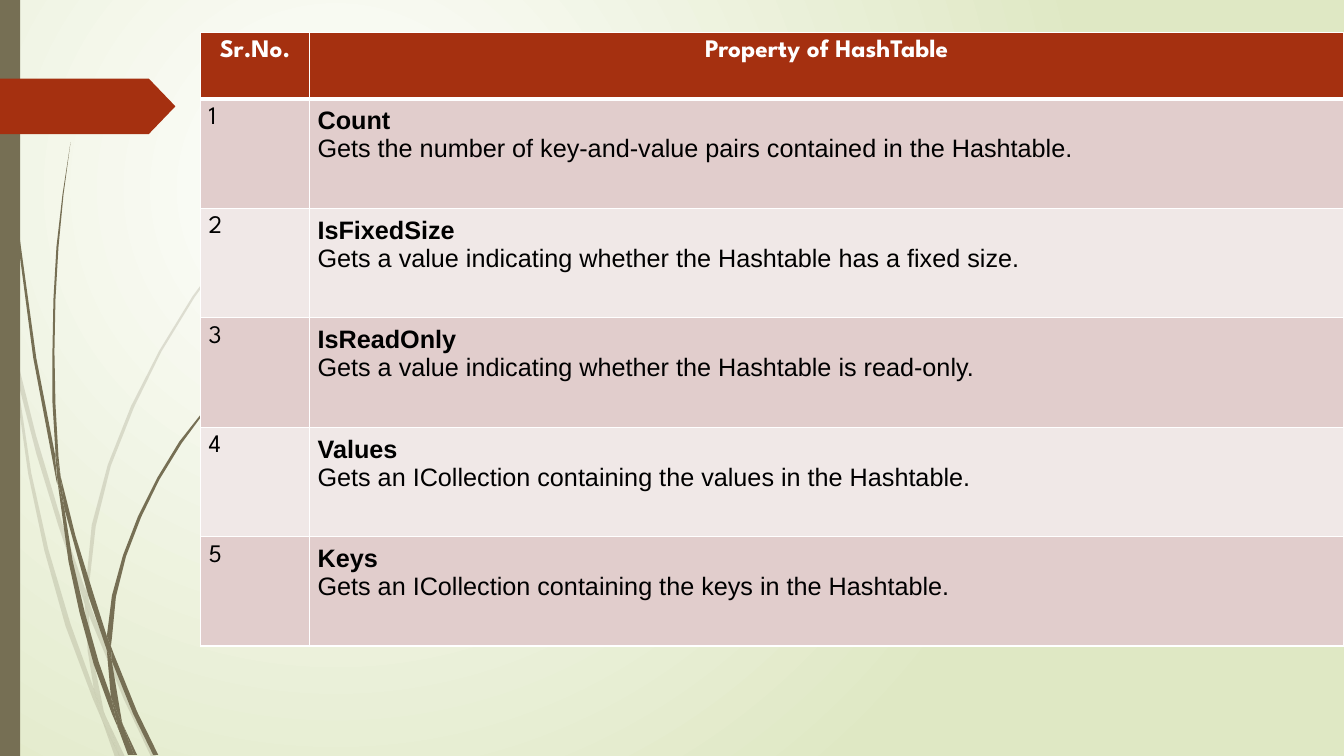
from lxml import etree
from pptx import Presentation
from pptx.dml.color import RGBColor
from pptx.enum.shapes import MSO_SHAPE
from pptx.enum.text import PP_ALIGN
from pptx.oxml.ns import qn
from pptx.util import Inches, Pt

CENTER, LEFT, JUSTIFY = PP_ALIGN.CENTER, PP_ALIGN.LEFT, PP_ALIGN.JUSTIFY
RECT, PENTAGON = MSO_SHAPE.RECTANGLE, MSO_SHAPE.PENTAGON
OLIVE, RUST, WHITE, BLACK = "766F54", "A53010", "FFFFFF", "000000"
ROW_FILLS = ["E1CDCC", "F0E8E7"]
MARGIN = Inches(0.08)
HEADER_HEIGHT, TABLE_HEIGHT = 0.66, 6.09

# Outlines of the blades of grass, in inches
PALE_GRASS = [
    [(0.11, 3.5), (0.09, 3.22), (0, 2.82), (0, 2.99), (0.1, 3.44)],
    [(0.58, 5.22), (0.84, 5.99), (0.85, 5.86), (0.62, 5.2), (0.36, 4.33),
     (0.14, 3.45), (0.17, 3.76), (0.36, 4.5)],
    [(0.92, 6.07), (0.88, 5.96), (0.88, 6.1), (1.23, 6.94), (1.5, 7.51),
     (1.55, 7.51), (1.27, 6.92)],
    [(1.19, 7.51), (1.24, 7.51), (1.05, 7.11)],
    [(0.93, 6.83), (0.7, 6.19), (0.48, 5.45), (0.31, 4.69), (0.17, 3.76),
     (0.11, 3.5), (0.28, 4.7), (0.44, 5.46), (0.65, 6.21), (0.92, 6.93),
     (1.01, 7.14), (0.99, 7.07)],
    [(0.84, 5.99), (0.87, 6.46), (0.93, 6.83), (0.96, 6.92), (1.05, 7.11),
     (1.03, 7.06), (0.91, 6.46), (0.88, 6.1), (0.88, 6.08)],
    [(0.88, 5.84), (0.95, 5.22), (1.1, 4.62), (1.33, 4.04), (1.6, 3.49),
     (1.93, 2.95), (2.29, 2.45), (2.68, 1.98), (3.12, 1.54), (3.12, 1.53),
     (2.68, 1.97), (2.28, 2.44), (1.91, 2.94), (1.58, 3.48), (1.3, 4.03),
     (1.07, 4.61), (0.91, 5.21), (0.85, 5.84), (0.85, 5.86), (0.88, 5.96)],
    [(1.01, 7.14), (1.14, 7.51), (1.19, 7.51)],
    [(0.88, 6.08), (0.88, 6.1), (0.88, 5.96), (0.85, 5.86), (0.84, 5.99)],
    [(0.96, 6.92), (0.93, 6.83), (0.99, 7.07), (1.01, 7.14), (1.19, 7.51),
     (1.05, 7.11)],
]
DARK_GRASS = [
    [(0.07, 1.1), (0.17, 2.33), (0.33, 3.55), (0.56, 4.77), (0.57, 4.81),
     (0.55, 4.57), (0.55, 4.53), (0.36, 3.55), (0.19, 2.32), (0.08, 1.09),
     (0.05, 0.48), (0.04, 0), (0.03, 0), (0.04, 0.48)],
    [(0.88, 5.92), (1.06, 6.45), (1.06, 6.33), (1.06, 6.31), (0.93, 5.9),
     (0.75, 5.32), (0.6, 4.72), (0.64, 5.05)],
    [(1.13, 6.49), (1.1, 6.41), (1.11, 6.56), (1.32, 7.08), (1.52, 7.49),
     (1.57, 7.49), (1.36, 7.06)],
    [(1.1, 6.91), (0.98, 6.57), (0.84, 6.07), (0.72, 5.56), (0.64, 5.05),
     (0.57, 4.77), (0.68, 5.57), (0.79, 6.08), (0.93, 6.59), (1.11, 7.08),
     (1.17, 7.22), (1.16, 7.17)],
    [(0.6, 4.72), (0.58, 4.53), (0.55, 4.01), (0.54, 3.49), (0.55, 2.97),
     (0.58, 2.45), (0.63, 1.93), (0.7, 1.41), (0.62, 1.93), (0.56, 2.45),
     (0.53, 2.97), (0.52, 3.49), (0.52, 3.99), (0.55, 4.49)],
    [(1.33, 7.49), (1.36, 7.49), (1.22, 7.19)],
    [(0.57, 4.77), (0.64, 5.05), (0.6, 4.72), (0.55, 4.49), (0.55, 4.53)],
    [(1.11, 6.33), (1.15, 5.92), (1.25, 5.52), (1.4, 5.13), (1.58, 4.76),
     (1.8, 4.4), (2.05, 4.06), (2.31, 3.74), (2.61, 3.44), (2.6, 3.44),
     (2.31, 3.73), (2.04, 4.05), (1.78, 4.38), (1.56, 4.74), (1.37, 5.12),
     (1.22, 5.51), (1.11, 5.91), (1.06, 6.31), (1.1, 6.41)],
    [(1.17, 7.22), (1.27, 7.49), (1.31, 7.49)],
    [(1.06, 6.45), (1.1, 6.91), (1.16, 7.06), (1.22, 7.19), (1.21, 7.16),
     (1.11, 6.56), (1.09, 6.51)],
    [(1.06, 6.45), (1.09, 6.51), (1.11, 6.56), (1.1, 6.41), (1.06, 6.31)],
    [(1.16, 7.06), (1.1, 6.91), (1.16, 7.17), (1.17, 7.22), (1.3, 7.49),
     (1.33, 7.49), (1.22, 7.19)],
]
PROPERTIES = [
    ("Count", "Gets the number of key-and-value pairs contained in the Hashtable."),
    ("IsFixedSize", "Gets a value indicating whether the Hashtable has a fixed size."),
    ("IsReadOnly", "Gets a value indicating whether the Hashtable is read-only."),
    ("Values", "Gets an ICollection containing the values in the Hashtable."),
    ("Keys", "Gets an ICollection containing the keys in the Hashtable."),
]


def paint(fill, color):
    fill.solid()
    fill.fore_color.rgb = RGBColor.from_string(color)


def write(p, text, font="League Spartan", color=BLACK, bold=False, align=LEFT):
    p.alignment = align
    r = p.add_run()
    r.text = text
    r.font.name, r.font.size, r.font.bold = font, Pt(18), bold
    r.font.color.rgb = RGBColor.from_string(color)


prs = Presentation()
prs.slide_width, prs.slide_height = Inches(13.33), Inches(7.5)
s = prs.slides.add_slide(prs.slide_layouts[6])

# Background: radial glow in the upper left
bg = s.background.fill
bg.gradient()
for stop, color in zip(bg.gradient_stops, [WHITE, "DFE8C4"]):
    stop.color.rgb = RGBColor.from_string(color)
lin = s._element.find(".//" + qn("a:lin"))
glow = etree.Element(qn("a:path"), {"path": "circle"})
etree.SubElement(glow, qn("a:fillToRect"), l="50000", t="50000", r="100000", b="100000")
lin.getparent().replace(lin, glow)

# Grass: a pale clump behind a dark one
for blades, opacity in [(PALE_GRASS, 20), (DARK_GRASS, 100)]:
    clump = s.shapes.add_group_shape()
    for blade in blades:
        points = [(Inches(x), Inches(y)) for x, y in blade]
        builder = clump.shapes.build_freeform(*points[0])
        builder.add_line_segments(points[1:], close=True)
        sp = builder.convert_to_shape()
        sp.shadow.inherit = False
        sp.line.fill.background()
        paint(sp.fill, OLIVE)
        if opacity < 100:
            clr = sp._element.spPr.find(".//" + qn("a:srgbClr"))
            etree.SubElement(clr, qn("a:alpha"), val=str(opacity * 1000))

# Side bar and page marker
for kind, top, width, height, color in [(RECT, 0, 0.2, 7.5, OLIVE),
                                        (PENTAGON, 0.78, 1.74, 0.55, RUST)]:
    sp = s.shapes.add_shape(kind, 0, Inches(top), Inches(width), Inches(height))
    sp.shadow.inherit = False
    sp.line.fill.background()
    paint(sp.fill, color)
sp.adjustments[0] = 0.48

# Property table
table = s.shapes.add_table(len(PROPERTIES) + 1, 2, Inches(1.99), Inches(0.32),
                           Inches(11.34), Inches(TABLE_HEIGHT)).table
table.horz_banding = False
for col, width in zip(table.columns, [1.08, 10.26]):
    col.width = Inches(width)
body_height = (TABLE_HEIGHT - HEADER_HEIGHT) / len(PROPERTIES)
for i, row in enumerate(table.rows):
    row.height = Inches(body_height if i else HEADER_HEIGHT)
    for cell in row.cells:
        cell.margin_left = cell.margin_right = MARGIN
        cell.margin_top = cell.margin_bottom = MARGIN
        paint(cell.fill, ROW_FILLS[(i - 1) % 2] if i else RUST)
        tcPr = cell._tc.get_or_add_tcPr()
        for k, side in enumerate(["lnL", "lnR", "lnT", "lnB"]):
            thick = (i == 0 and side == "lnB") or (i == 1 and side == "lnT")
            ln = etree.Element(qn("a:" + side), w=str(Pt(3 if thick else 1)))
            etree.SubElement(etree.SubElement(ln, qn("a:solidFill")),
                             qn("a:srgbClr"), val=WHITE)
            tcPr.insert(k, ln)

for cell, heading in zip(table.rows[0].cells, ["Sr.No.", "Property of HashTable"]):
    write(cell.text_frame.paragraphs[0], heading, color=WHITE, bold=True, align=CENTER)
for i, (name, meaning) in enumerate(PROPERTIES, 1):
    write(table.cell(i, 0).text_frame.paragraphs[0], str(i))
    tf = table.cell(i, 1).text_frame
    write(tf.paragraphs[0], name, font="Arial", bold=True, align=JUSTIFY)
    write(tf.add_paragraph(), meaning, font="Arial", align=JUSTIFY)

prs.save("out.pptx")
